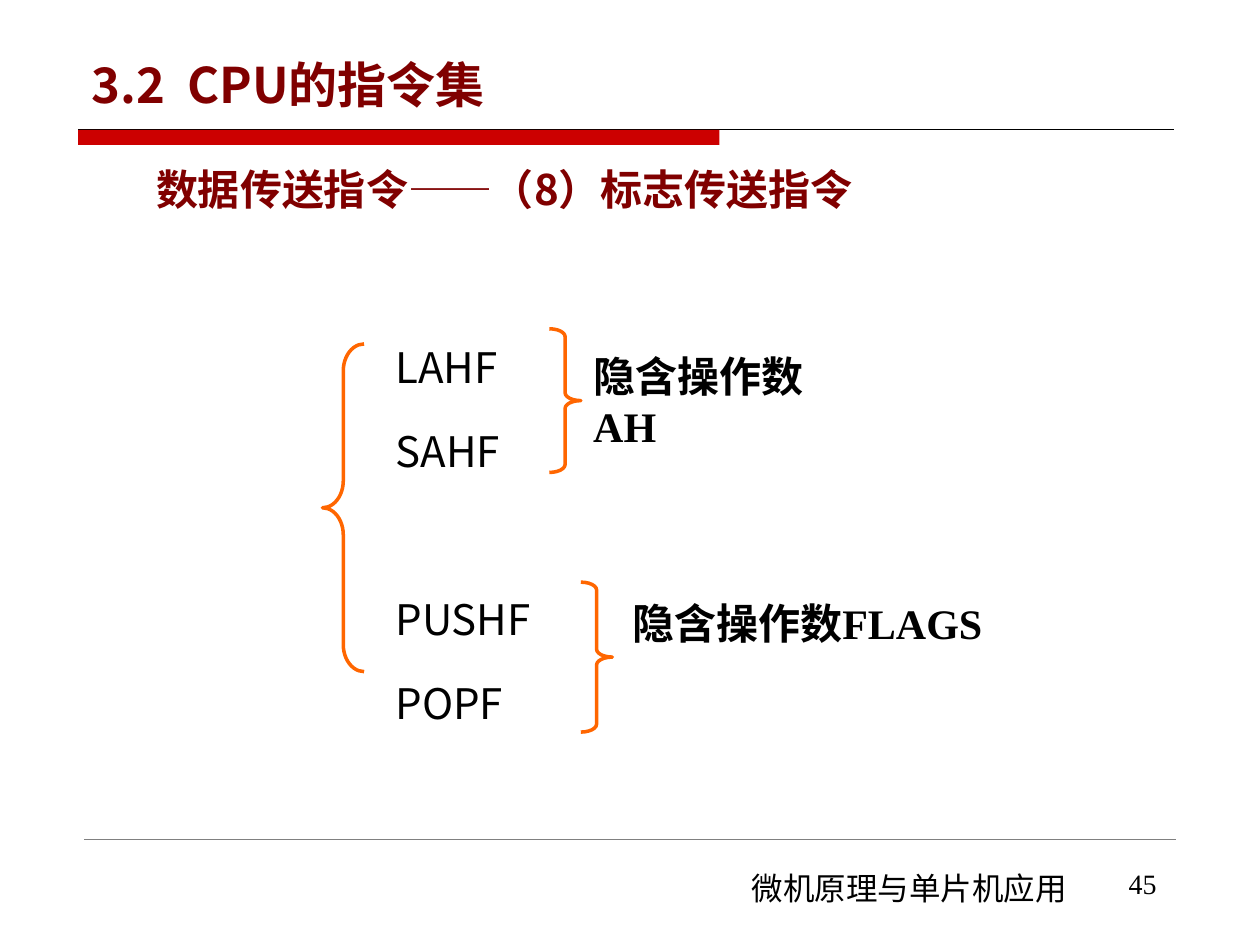
from lxml import etree
from pptx import Presentation, util as u
from pptx.dml.color import RGBColor
from pptx.enum import shapes, text
from pptx.oxml.ns import qn

WIDTH, HEIGHT = u.Inches(10), u.Inches(7.5)
BLACK = RGBColor(0, 0, 0)
GRAY = RGBColor(0x80, 0x80, 0x80)
MAROON = RGBColor(0x80, 0, 0)
RED = RGBColor(0xCC, 0, 0)
ORANGE = RGBColor(0xFF, 0x66, 0)
SANS, SERIF = "Noto Sans CJK SC", "Times New Roman"
Shape = shapes.MSO_SHAPE


def across(share):
    """Percent of the slide's width."""
    return round(WIDTH * share / 100)


def down(share):
    """Percent of the slide's height."""
    return round(HEIGHT * share / 100)


def area(left, top, width, height):
    return across(left), down(top), across(width), down(height)


def set_font(para, size, color, face, bold):
    font = para.font
    font.size, font.name, font.bold = u.Pt(size), face, bold
    font.color.rgb = color
    defaults = para._p.pPr.find(qn("a:defRPr"))
    etree.SubElement(defaults, qn("a:ea"), typeface=SANS)


def add_text(page, place, lines, size, color=BLACK, face=SANS, bold=False,
             pitch=None):
    """Each line is a list of spans; returns the text frame."""
    frame = page.shapes.add_textbox(*area(*place)).text_frame
    frame.word_wrap = True
    for index, spans in enumerate(lines):
        para = frame.paragraphs[0] if index == 0 else frame.add_paragraph()
        for words in spans:
            para.add_run().text = words
        if pitch:
            para.line_spacing = u.Pt(pitch)
        set_font(para, size, color, face, bold)
    return frame


def add_rule(page, left, right, top, color, weight):
    rule = page.shapes.add_connector(
        shapes.MSO_CONNECTOR.STRAIGHT,
        across(left), down(top), across(right), down(top))
    rule.line.color.rgb, rule.line.width = color, u.Pt(weight)
    etree.SubElement(rule._element.spPr, qn("a:effectLst"))


def add_bar(page, place):
    bar = page.shapes.add_shape(Shape.RECTANGLE, *area(*place))
    bar.shadow.inherit = False
    bar.fill.solid()
    bar.fill.fore_color.rgb = RED
    bar.line.fill.background()


def add_brace(page, kind, place, curl):
    brace = page.shapes.add_shape(kind, *area(*place))
    brace.shadow.inherit = False
    brace.fill.background()
    brace.line.color.rgb, brace.line.width = ORANGE, u.Pt(2)
    brace.adjustments[0], brace.adjustments[1] = curl, 0.5


def main():
    deck = Presentation()
    deck.slide_width, deck.slide_height = WIDTH, HEIGHT
    page = deck.slides.add_slide(deck.slide_layouts[6])

    # Frame of the page: rules, footer and page number
    add_rule(page, 6.2, 93.2, 13.73, BLACK, 0.75)
    add_bar(page, (6.2, 13.73, 50.9, 1.6))
    add_rule(page, 6.7, 93.3, 88.8, GRAY, 0.25)
    add_text(page, (58.7, 91.33, 27.6, 5.33), [["微机原理与单片机应用"]], 18)
    add_text(page, (88.6, 91.07, 7.9, 6.93), [["45"]], 16, face=SERIF)

    # Title and subtitle
    title = add_text(page, (6.3, 2.8, 87.5, 9.87), [["3.2  CPU的指令集"]],
                     28, MAROON, bold=True)
    title.vertical_anchor = text.MSO_ANCHOR.BOTTOM
    subtitle = add_text(page, (11.4, 14.9, 75, 8),
                        [["数据传送指令", "——", "（8）标志传送指令"]],
                        24, MAROON, bold=True, pitch=38)
    subtitle.paragraphs[0].runs[1].font.bold = False

    # Instructions in two pairs, one line apart
    pitch = 48
    names = add_text(page, (30.4, 31.9, 25.8, 41.1),
                     [["LAHF"], ["SAHF"], ["PUSHF"], ["POPF"]], 24,
                     pitch=pitch)
    names.paragraphs[2].space_before = u.Pt(pitch)

    # Braces around the whole list and each pair
    add_brace(page, Shape.LEFT_BRACE, (25.6, 36.4, 3.3, 34.67), 0.65)
    add_brace(page, Shape.RIGHT_BRACE, (43.6, 34.8, 2.5, 15.2), 0.25)
    add_brace(page, Shape.RIGHT_BRACE, (46.1, 61.6, 2.5, 15.87), 0.25)

    # Hidden operand of each pair
    for place, words in (((46.1, 36.4, 23, 6.67), "隐含操作数AH"),
                         ((49.2, 62.53, 32.5, 6.67), "隐含操作数FLAGS")):
        add_text(page, place, [[words]], 24, face=SERIF, bold=True)

    deck.save("out.pptx")


if __name__ == "__main__":
    main()
